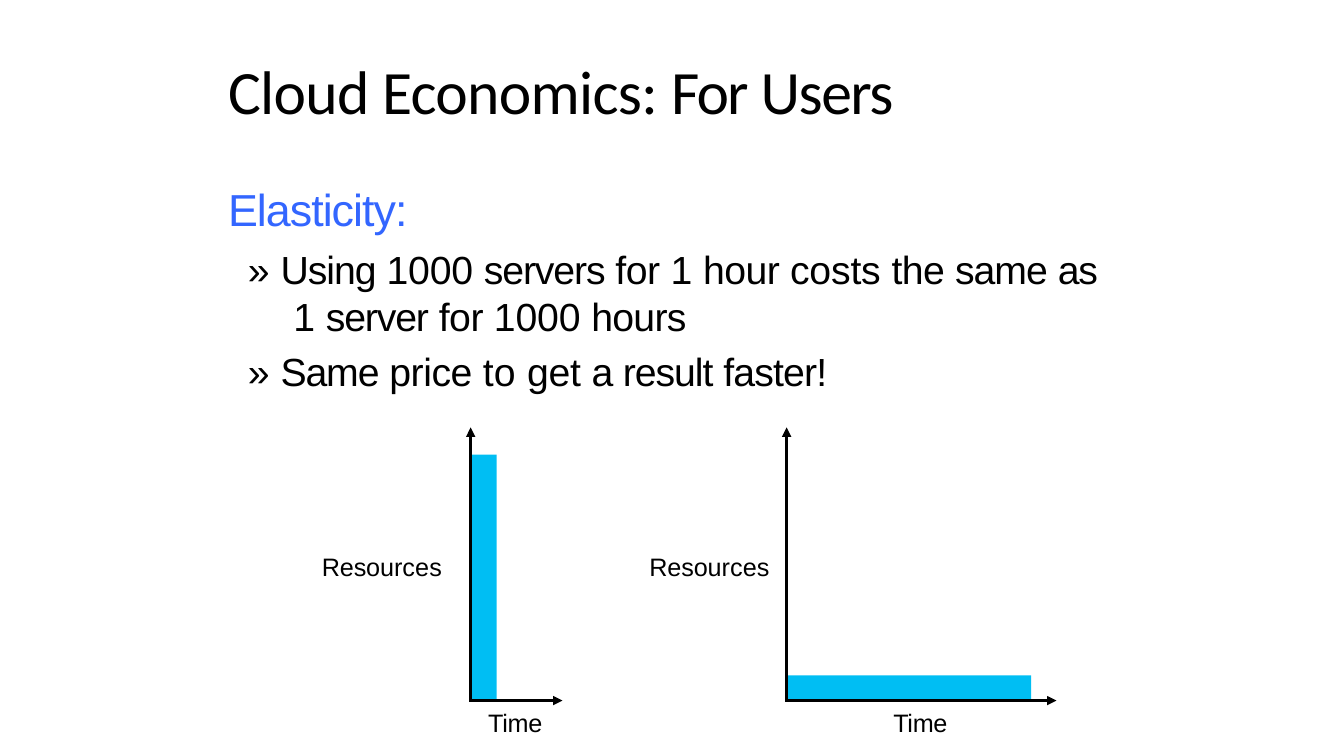
from lxml.etree import SubElement
from pptx import Presentation
from pptx.dml.color import RGBColor
from pptx.enum.shapes import MSO_CONNECTOR, MSO_SHAPE
from pptx.enum.text import MSO_ANCHOR
from pptx.oxml.ns import qn
from pptx.util import Pt

BLACK = "000000"
HEADING_BLUE = "3366FF"
BAR_BLUE = "00BEF3"
AXIS_BOTTOM, AXIS_TOP = 500.4, 305.3


def color(value):
    return RGBColor.from_string(value)


def add_text_box(slide, left, top, width, height, inset=0.7, anchor=MSO_ANCHOR.TOP):
    """Return the text frame of a new box with only a top inset."""
    frame = slide.shapes.add_textbox(Pt(left), Pt(top), Pt(width), Pt(height)).text_frame
    frame.word_wrap = True
    frame.vertical_anchor = anchor
    frame.margin_left = frame.margin_right = frame.margin_bottom = 0
    frame.margin_top = Pt(inset)
    return frame


def write_text(paragraph, pieces, size=18, font="Arial", fill=BLACK, before=1.0,
               line_spacing=None, left=0.9, first=0):
    """Write (text, letter spacing in points) pieces into a paragraph."""
    paragraph.space_before = Pt(before)
    if line_spacing:
        paragraph.line_spacing = line_spacing
    properties = paragraph._p.get_or_add_pPr()
    properties.set("marL", str(Pt(left)))
    properties.set("indent", str(Pt(first)))
    for text, spacing in pieces:
        run = paragraph.add_run()
        run.text = text
        run.font.size = Pt(size)
        run.font.name = font
        run.font.color.rgb = color(fill)
        run._r.get_or_add_rPr().set("spc", str(round(spacing * 100)))


def add_label(slide, left, top, width, pieces):
    frame = add_text_box(slide, left, top, width, 23)
    write_text(frame.paragraphs[0], pieces)


def add_bar(slide, left, width, height):
    shape = slide.shapes.add_shape(MSO_SHAPE.RECTANGLE, Pt(left), Pt(AXIS_BOTTOM - height),
                                   Pt(width), Pt(height))
    shape.shadow.inherit = False
    shape.fill.solid()
    shape.fill.fore_color.rgb = color(BAR_BLUE)
    shape.line.fill.background()


def add_axis(slide, start_x, start_y, end_x, end_y):
    connector = slide.shapes.add_connector(MSO_CONNECTOR.STRAIGHT, Pt(start_x), Pt(start_y),
                                           Pt(end_x), Pt(end_y))
    connector.line.width = Pt(2.25)
    connector.line.color.rgb = color(BLACK)
    SubElement(connector.line._get_or_add_ln(), qn("a:tailEnd"), type="triangle")
    SubElement(connector._element.spPr, qn("a:effectLst"))


def add_resource_graph(slide, origin, axis_end, bar_width, bar_height,
                       resources_left, time_left):
    # Bar, then the two axes over it
    add_bar(slide, origin, bar_width, bar_height)
    add_axis(slide, origin - 1, AXIS_BOTTOM, axis_end, AXIS_BOTTOM)
    add_axis(slide, origin, AXIS_BOTTOM + 0.7, origin, AXIS_TOP)
    # Axis labels
    add_label(slide, resources_left, 393.1, 90,
              [("Resou", -0.1), ("r", -0.5), ("ces", 0.1)])
    add_label(slide, time_left, 504.2, 45, [("Time", -0.2)])


def main():
    presentation = Presentation()
    presentation.slide_width, presentation.slide_height = Pt(960), Pt(540)
    slide = presentation.slides.add_slide(presentation.slide_layouts[6])

    # Title
    title = add_text_box(slide, 162, 42.5, 545, 49, anchor=MSO_ANCHOR.MIDDLE)
    write_text(title.paragraphs[0],
               [("Cloud Economics: ", -0.5), ("For ", -1.4), ("Users", -1.1)],
               size=44, font="Calibri", line_spacing=0.9)

    # Heading and points
    body = add_text_box(slide, 162, 121.7, 627, 163, inset=7.9)
    write_text(body.paragraphs[0], [("Elasticity:", -0.7)],
               size=32, fill=HEADING_BLUE, before=8.2)
    write_text(body.add_paragraph(),
               [("» ", 0), ("Using ", -0.7), ("1000 ", -0.1), ("servers ", -0.8),
                ("for ", -0.3), ("1 ", -0.1), ("hour ", -0.4), ("costs ", -0.1),
                ("the ", -0.4), ("same ", -0.7), ("as ", -0.8), ("1 ", -0.1),
                ("server ", -0.8), ("for ", -0.3), ("1000 ", -0.1), ("hours", -0.5)],
               size=28, before=7.7, line_spacing=Pt(33.3), left=47.5, first=-32.4)
    write_text(body.add_paragraph(),
               [("» ", 0), ("Same ", -0.8), ("price ", -0.3), ("to ", 0.2), ("get ", -0.2),
                ("a ", -1.1), ("result ", -0.7), ("faster!", -0.6)],
               size=28, before=6, left=15.1)

    # Many servers for a short time, one server for a long time
    add_resource_graph(slide, 336.2, 401.8, bar_width=18.6, bar_height=175.7,
                       resources_left=229, time_left=347.8)
    add_resource_graph(slide, 561.9, 754.6, bar_width=174.7, bar_height=18,
                       resources_left=463, time_left=637.2)

    presentation.save("out.pptx")


if __name__ == "__main__":
    main()
